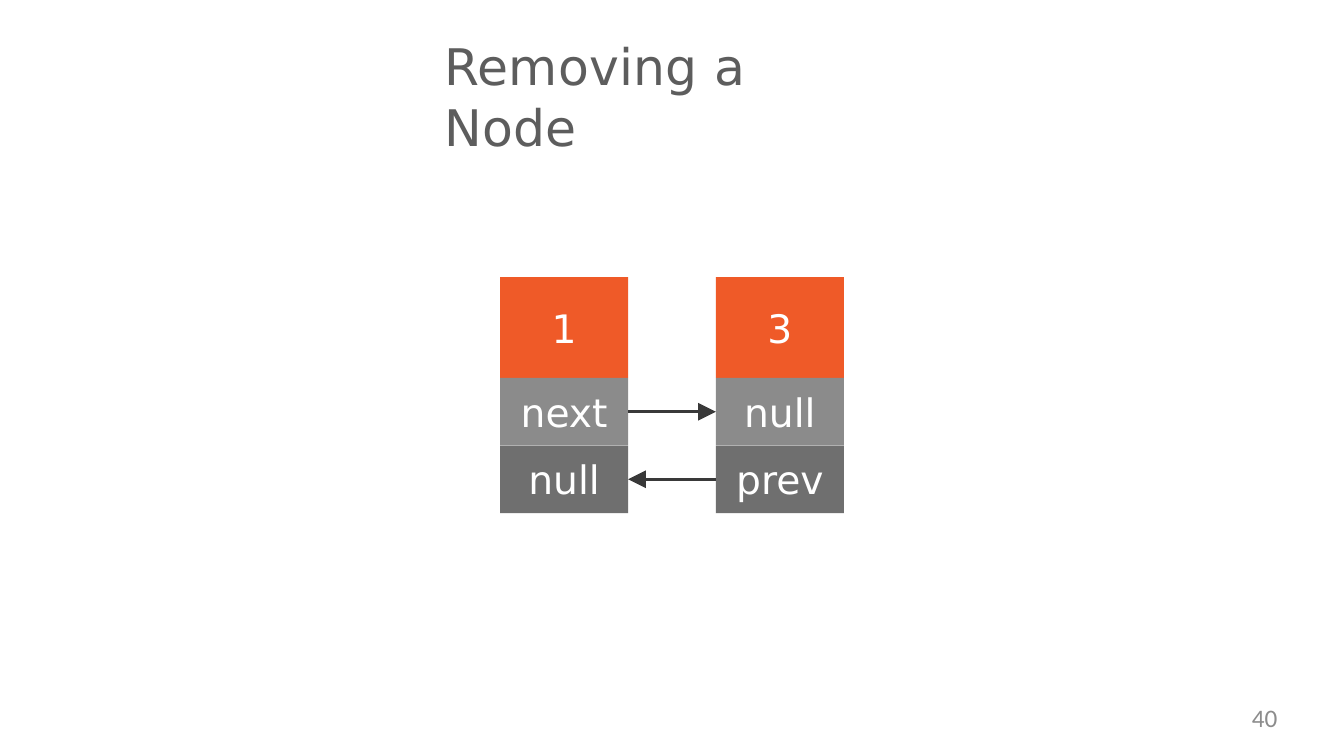
import pptx
import pptx.dml.color
import pptx.enum.shapes
import pptx.enum.text
import pptx.oxml.ns
import pptx.util
from lxml import etree

Inches = pptx.util.Inches
ALIGN = pptx.enum.text.PP_ALIGN
ANCHOR = pptx.enum.text.MSO_ANCHOR
NODE_FONT = "DejaVu Sans"
NODE_WIDTH = 1.27


def color(hex_string):
    return pptx.dml.color.RGBColor.from_string(hex_string)


def write(shape, text, size, font, hex_color, align, anchor=ANCHOR.TOP, top_inset=0):
    frame = shape.text_frame
    frame.word_wrap = True
    frame.vertical_anchor = anchor
    frame.margin_left = frame.margin_right = frame.margin_bottom = 0
    frame.margin_top = Inches(top_inset)
    frame.text = text
    paragraph = frame.paragraphs[0]
    paragraph.alignment = align
    run = paragraph.runs[0]
    run.font.size = pptx.util.Pt(size)
    run.font.name = font
    run.font.color.rgb = color(hex_color)
    return run


def add_title(slide, left, top, width, height):
    title = slide.shapes.add_textbox(*map(Inches, (left, top, width, height)))
    run = write(title, "Removing a Node", 36, NODE_FONT, "5D5D5D", ALIGN.LEFT,
                top_inset=0.03)
    # Letter spacing, in hundredths of a point
    run.font._element.set("spc", "20")


def add_node(slide, left, top, value, next_label, prev_label):
    """Stack the value, next and prev cells; return the two link cells."""
    cells = []
    for label, height, fill in ((value, 1, "EF5A28"),
                                (next_label, 0.67, "8B8B8B"),
                                (prev_label, 0.67, "6F6F6F")):
        cell = slide.shapes.add_shape(
            pptx.enum.shapes.MSO_SHAPE.RECTANGLE,
            *map(Inches, (left, top, NODE_WIDTH, height)))
        cell.shadow.inherit = False
        cell.fill.solid()
        cell.fill.fore_color.rgb = color(fill)
        cell.line.fill.background()
        write(cell, label, 28, NODE_FONT, "FFFFFF", ALIGN.CENTER, ANCHOR.MIDDLE)
        cells.append(cell)
        top += height
    return cells[1:]


def add_link(slide, source, source_side, target, target_side):
    link = slide.shapes.add_connector(
        pptx.enum.shapes.MSO_CONNECTOR.STRAIGHT, 0, 0, 0, 0)
    link.begin_connect(source, source_side)
    link.end_connect(target, target_side)
    link.line.color.rgb = color("393939")
    link.line.width = pptx.util.Pt(2.52)
    qn = pptx.oxml.ns.qn
    etree.SubElement(link.line._get_or_add_ln(), qn("a:tailEnd"),
                     type="triangle", w="lg", len="lg")
    etree.SubElement(link._element.spPr, qn("a:effectLst"))


def add_linked_list(slide, left, top, pitch):
    first_next, first_prev = add_node(slide, left, top, "1", "next", "null")
    last_next, last_prev = add_node(slide, left + pitch, top, "3", "null", "prev")
    add_link(slide, first_next, 3, last_next, 1)
    add_link(slide, last_prev, 1, first_prev, 3)


def add_page_number(slide, left, top, width, height):
    page_number = slide.shapes.add_textbox(*map(Inches, (left, top, width, height)))
    write(page_number, "40", 18, "Calibri", "8C8C8C", ALIGN.RIGHT)


def main():
    deck = pptx.Presentation()
    deck.slide_width = Inches(13.33)
    deck.slide_height = Inches(7.5)
    slide = deck.slides.add_slide(deck.slide_layouts[6])
    add_title(slide, 4.41, 0.32, 4.42, 0.63)
    add_linked_list(slide, 4.96, 2.75, 2.14)
    add_page_number(slide, 9.6, 6.97, 3.07, 0.38)
    deck.save("out.pptx")


if __name__ == "__main__":
    main()
